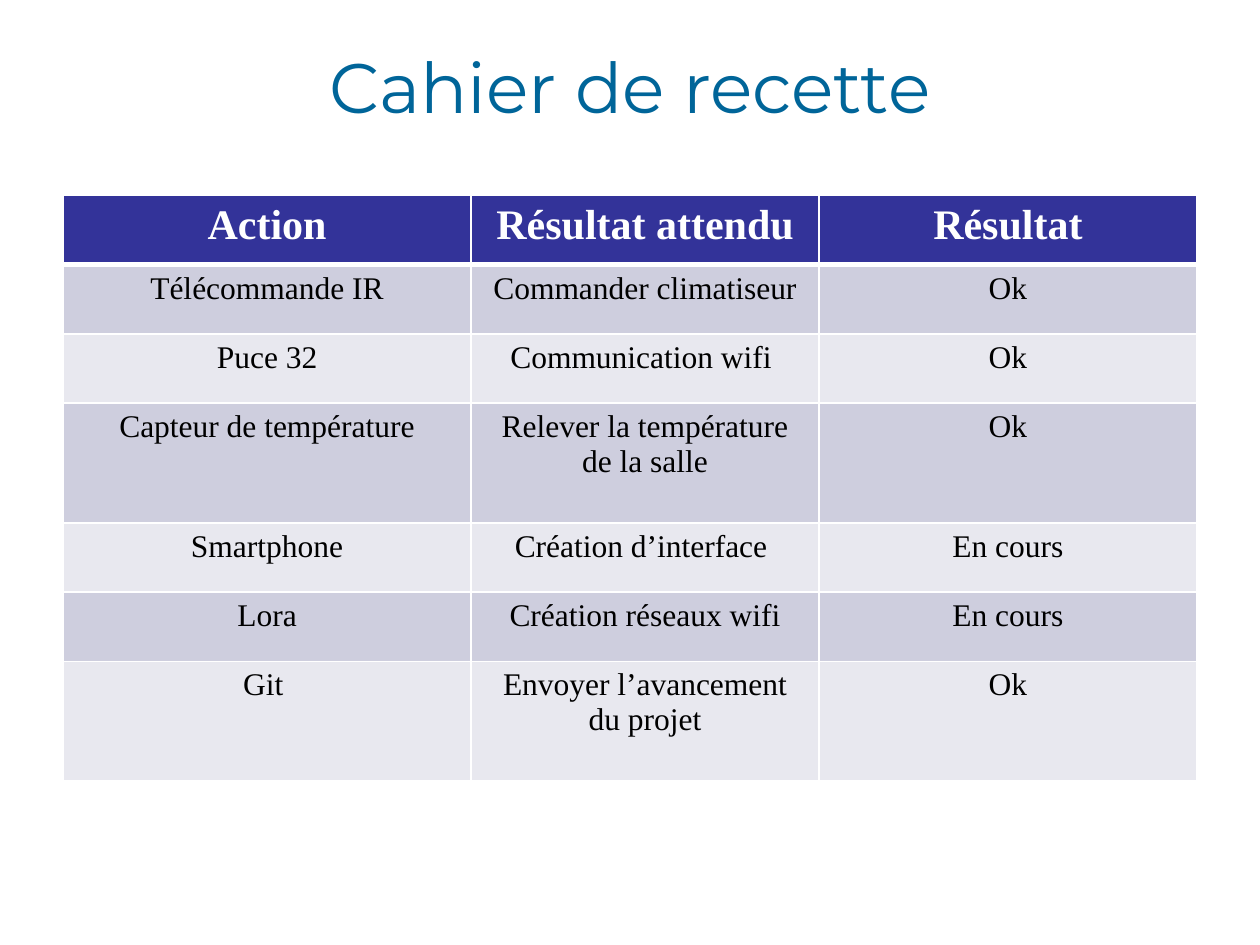
from pptx import Presentation
from pptx.dml.color import RGBColor
from pptx.enum.text import MSO_ANCHOR, PP_ALIGN
from pptx.oxml.ns import qn
from pptx.util import Inches, Pt
from lxml.etree import SubElement

WHITE = RGBColor(0xFF, 0xFF, 0xFF)
BLACK = RGBColor(0x00, 0x00, 0x00)
TEAL = RGBColor(0x00, 0x65, 0x99)
NAVY = RGBColor(0x33, 0x33, 0x99)
BANDS = [RGBColor(0xE8, 0xE8, 0xEF), RGBColor(0xCE, 0xCE, 0xDE)]

ROWS = [
    ("Action", "Résultat attendu", "Résultat"),
    ("Télécommande IR", "Commander climatiseur", "Ok"),
    ("Puce 32", "Communication wifi ", "Ok"),
    ("Capteur de température", "Relever la température de la salle", "Ok"),
    ("Smartphone", "Création d’interface ", "En cours"),
    ("Lora", "Création réseaux wifi", "En cours"),
    ("Git ", "Envoyer l’avancement du projet", "Ok"),
]
COL_WIDTHS = [3.24, 2.76, 3]
ROW_HEIGHTS = [0.55, 0.55, 0.55, 0.95, 0.55, 0.55, 0.95]


def format_text(p, font_name, size, color, bold=False):
    p.alignment = PP_ALIGN.CENTER
    font = p.runs[0].font
    font.name = font_name
    font.size = Pt(size)
    font.bold = bold
    font.color.rgb = color


def set_borders(cell, widths):
    tcPr = cell._tc.get_or_add_tcPr()
    for i, (side, width) in enumerate(widths.items()):
        ln = tcPr.makeelement(qn(f"a:{side}"), {"w": str(Pt(width))})
        fill = SubElement(ln, qn("a:solidFill"))
        SubElement(fill, qn("a:srgbClr"), val=str(WHITE))
        tcPr.insert(i, ln)


prs = Presentation()
prs.slide_width = Inches(10)
prs.slide_height = Inches(7.5)
s = prs.slides.add_slide(prs.slide_layouts[5])

title = s.shapes.title
title.left, title.top = Inches(0.5), Inches(0.05)
title.width, title.height = Inches(9), Inches(1.25)
tf = title.text_frame
tf.text = "Cahier de recette"
tf.vertical_anchor = MSO_ANCHOR.MIDDLE
format_text(tf.paragraphs[0], "Montserrat", 40, TEAL)

table = s.shapes.add_table(
    len(ROWS), len(COL_WIDTHS), Inches(0.5), Inches(1.55),
    Inches(sum(COL_WIDTHS)), Inches(sum(ROW_HEIGHTS))).table
for column, width in zip(table.columns, COL_WIDTHS):
    column.width = Inches(width)
for row, height in zip(table.rows, ROW_HEIGHTS):
    row.height = Inches(height)

for r, texts in enumerate(ROWS):
    header = r == 0
    for c, text in enumerate(texts):
        cell = table.cell(r, c)
        cell.text = text
        p = cell.text_frame.paragraphs[0]
        if header:
            format_text(p, "Times New Roman", 24, WHITE, True)
        else:
            format_text(p, "Times New Roman", 18, BLACK)
        cell.fill.solid()
        cell.fill.fore_color.rgb = NAVY if header else BANDS[r % 2]
        set_borders(cell, {"lnL": 1, "lnR": 1, "lnT": 3 if r == 1 else 1,
                           "lnB": 3 if header else 1})

prs.save("out.pptx")
